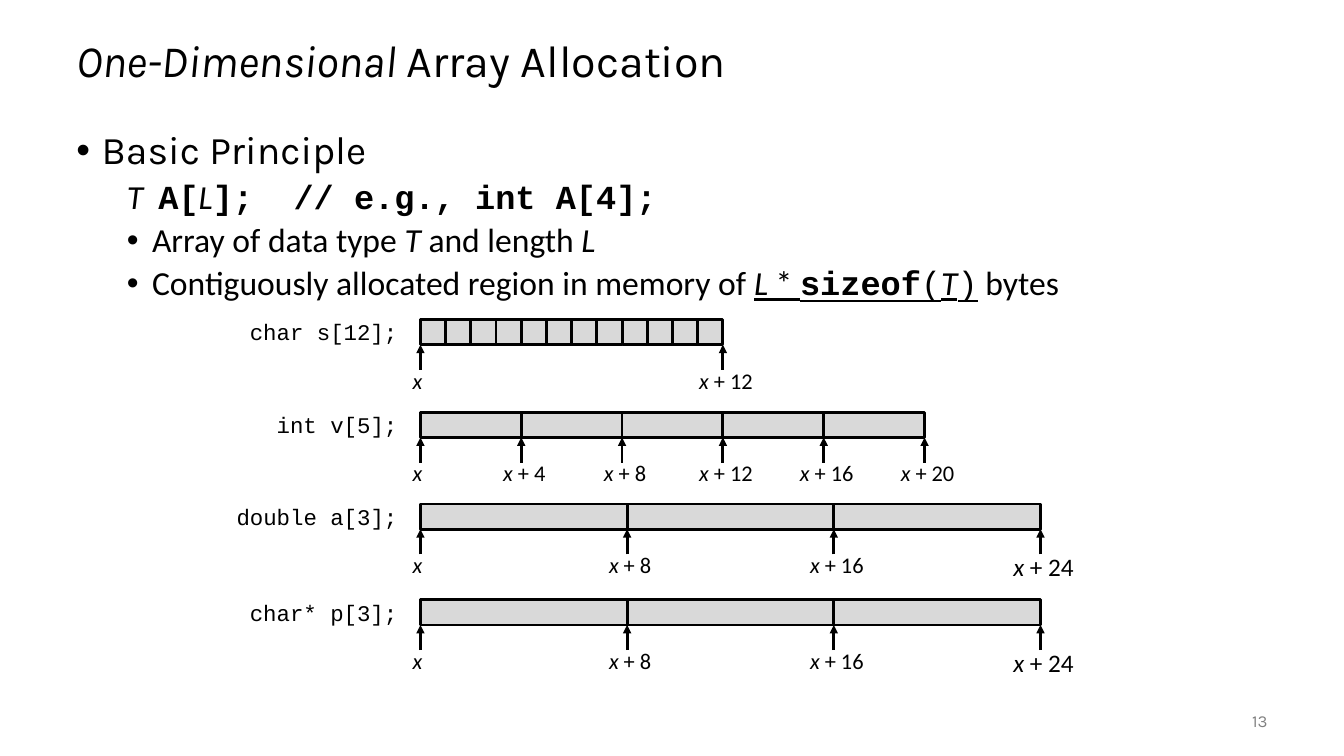
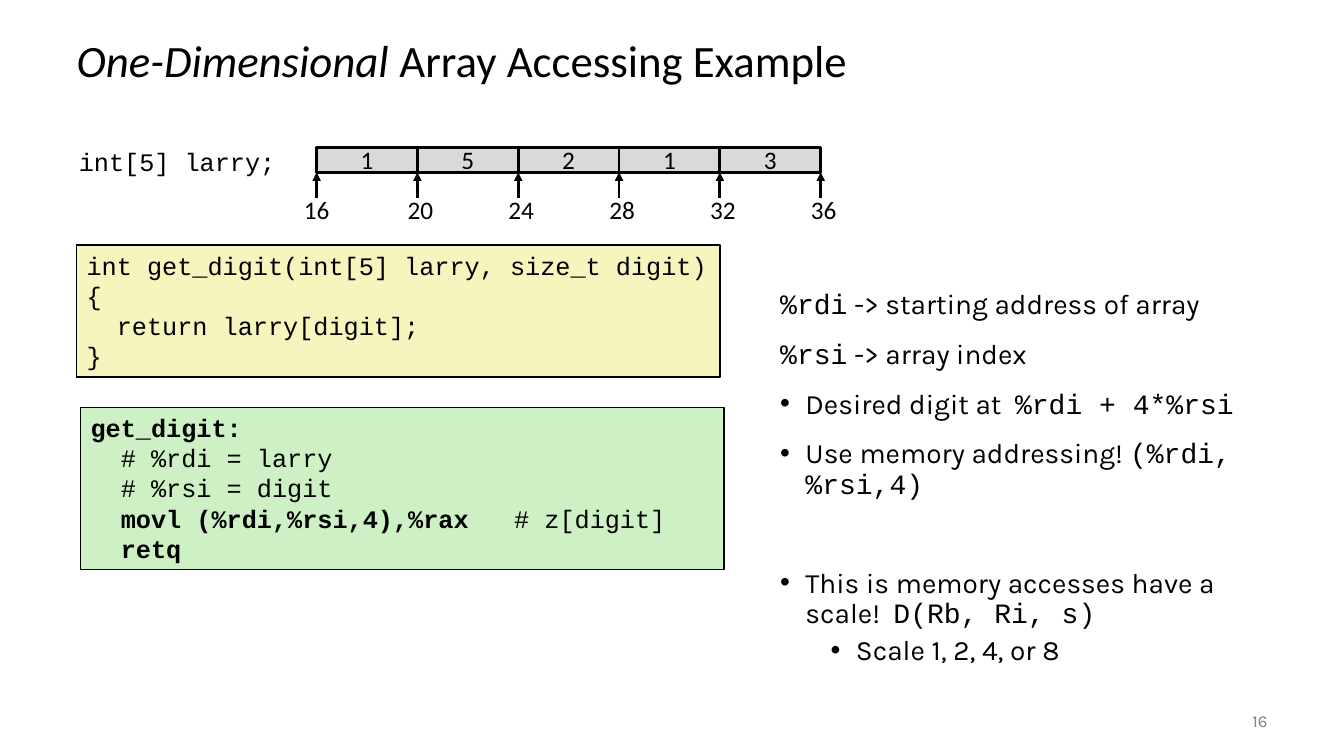
"""Build two slides on one-dimensional array allocation and access."""
from dataclasses import dataclass
from typing import Any, NamedTuple, Optional

from lxml.etree import SubElement
from pptx import Presentation
from pptx.dml.color import RGBColor
from pptx.enum.shapes import MSO_CONNECTOR, MSO_SHAPE
from pptx.enum.text import MSO_ANCHOR, MSO_AUTO_SIZE, PP_ALIGN
from pptx.oxml.ns import qn
from pptx.util import Inches, Pt

COLORS = {
    "text": "000000",
    "number": "808080",
    "cell": "D9D9D9",
    "c_code": "F6F5BD",
    "assembly": "CDF1C5",
    "background": "FFFFFF",
}
SANS, MONO, KARLA = "Calibri", "Courier New", "Karla"
CELL_H = 0.25


class Span(NamedTuple):
    text: str
    fmt: dict[str, Any] = {}


@dataclass
class Para:
    spans: list[Span]
    size: float = 20
    level: int = 0
    bullet: bool = True
    indent: bool = True
    before: float = 14


@dataclass
class Array:
    decl: str
    left: float
    top: float
    cell_w: float
    count: int
    step: int
    base: Optional[int] = None
    values: tuple[int, ...] = ()
    tick_every: int = 1
    size: float = 16
    last_size: float = 16
    decl_gap: float = 0.13


def rgb(name: str) -> RGBColor:
    return RGBColor.from_string(COLORS[name])


def add_run(p, text: str, *, font: str = SANS, size: float = 16, bold: bool = False,
            italic: bool = False, underline: bool = False, color: str = "text") -> None:
    r = p.add_run()
    r.text = text
    f = r.font
    f.name, f.size, f.bold, f.italic = font, Pt(size), bold, italic
    f.underline = underline
    f.color.rgb = rgb(color)


def add_box(shapes, left: float, top: float, width: float, height: float):
    tf = shapes.add_textbox(Inches(left), Inches(top), Inches(width), Inches(height)).text_frame
    tf.word_wrap = True
    return tf


def add_label(shapes, left: float, top: float, width: float, spans: list[Span],
              align=PP_ALIGN.CENTER, **fmt):
    tf = add_box(shapes, left, top, width, 0.4)
    p = tf.paragraphs[0]
    p.alignment = align
    for text, extra in spans:
        add_run(p, text, **fmt, **extra)
    return tf


def add_rect(shapes, left: float, top: float, width: float, height: float,
             fill: str, line_width: float):
    sp = shapes.add_shape(MSO_SHAPE.RECTANGLE, Inches(left), Inches(top),
                          Inches(width), Inches(height))
    sp.shadow.inherit = False
    sp.fill.solid()
    sp.fill.fore_color.rgb = rgb(fill)
    sp.line.color.rgb = rgb("text")
    sp.line.width = Pt(line_width)
    return sp


def add_arrow(shapes, x: float, bottom: float, top: float) -> None:
    c = shapes.add_connector(MSO_CONNECTOR.STRAIGHT, Inches(x), Inches(bottom),
                             Inches(x), Inches(top))
    c.line.color.rgb = rgb("text")
    c.line.width = Pt(2)
    sp_pr = c.element.spPr
    SubElement(sp_pr.find(qn("a:ln")), qn("a:tailEnd"), type="triangle")
    SubElement(sp_pr, qn("a:effectLst"))


def add_array(s, a: Array) -> None:
    add_label(s.shapes, a.left - a.decl_gap - 2.2, a.top - 0.06, 2.2, [Span(a.decl)],
              PP_ALIGN.RIGHT, font=MONO, size=a.size)
    shapes = s.shapes.add_group_shape().shapes
    for i in range(a.count):
        cell = add_rect(shapes, a.left + i * a.cell_w, a.top, a.cell_w, CELL_H, "cell", 2)
        if a.values:
            tf = cell.text_frame
            tf.word_wrap = False
            tf.vertical_anchor = MSO_ANCHOR.MIDDLE
            tf.paragraphs[0].alignment = PP_ALIGN.CENTER
            add_run(tf.paragraphs[0], str(a.values[i]), size=a.size)
    bottom = a.top + CELL_H
    for i in range(0, a.count + 1, a.tick_every):
        x = a.left + i * a.cell_w
        add_arrow(shapes, x, bottom + 0.25, bottom)
        offset = i * a.step
        if a.base is not None:
            spans, shift = [Span(str(a.base + offset))], 0.03 if i else 0
        elif i:
            spans, shift = [Span("x ", dict(italic=True)), Span(f"+ {offset}")], 0.03
        else:
            spans, shift = [Span("x", dict(italic=True))], -0.03
        size = a.last_size if i == a.count else a.size
        add_label(shapes, x + shift - 0.55, a.top + 0.42, 1.1, spans, size=size)


def add_body(s, left: float, top: float, width: float, height: float,
             paras: list[Para]) -> None:
    tf = add_box(s.shapes, left, top, width, height)
    for i, para in enumerate(paras):
        p = tf.add_paragraph() if i else tf.paragraphs[0]
        p.level = para.level
        p_pr = p._p.get_or_add_pPr()
        if para.indent:
            p_pr.set("marL", str(Inches(0.25 + 0.5 * para.level)))
            p_pr.set("indent", str(Inches(-0.25)))
        if para.bullet:
            SubElement(p_pr, qn("a:buFont"), typeface="Arial")
            SubElement(p_pr, qn("a:buChar"), char="•")
        p.line_spacing = 0.9
        if i:
            p.space_before = Pt(para.before)
        for text, fmt in para.spans:
            add_run(p, text, size=para.size, **fmt)


def add_code(s, left: float, top: float, height: float, fill: str,
             lines: list[list[Span]]) -> None:
    tf = add_rect(s.shapes, left, top, 6.38, height, fill, 1).text_frame
    tf.word_wrap = True
    tf.vertical_anchor = MSO_ANCHOR.TOP
    for i, line in enumerate(lines):
        p = tf.add_paragraph() if i else tf.paragraphs[0]
        p.alignment = PP_ALIGN.LEFT
        for text, fmt in line:
            add_run(p, text, font=MONO, size=18, **fmt)


def add_slide(prs, topic: str, font: str, number: int):
    s = prs.slides.add_slide(prs.slide_layouts[5])
    s.background.fill.solid()
    s.background.fill.fore_color.rgb = rgb("background")
    title = s.shapes.title
    title.left, title.top = Inches(0.66), Inches(0.25)
    title.width, title.height = Inches(12), Inches(0.75)
    tf = title.text_frame
    tf.auto_size = MSO_AUTO_SIZE.NONE
    tf.vertical_anchor = MSO_ANCHOR.MIDDLE
    p = tf.paragraphs[0]
    p.alignment = PP_ALIGN.LEFT
    p.line_spacing = 0.9
    add_run(p, "One-Dimensional ", font=font, size=32, italic=True)
    add_run(p, topic, font=font, size=32)
    tf = add_label(s.shapes, 11.67, 6.95, 1, [Span(str(number))], PP_ALIGN.RIGHT,
                   font=KARLA, size=12, color="number")
    tf.vertical_anchor = MSO_ANCHOR.MIDDLE
    return s


def build_allocation(prs) -> None:
    s = add_slide(prs, "Array Allocation", KARLA, 13)
    italic = dict(italic=True)
    code = dict(font=MONO, bold=True)
    under = dict(underline=True)
    sub = dict(size=24, level=1, before=5)
    add_body(s, 0.66, 1.25, 12, 5.5, [
        Para([Span("Basic Principle", dict(font=KARLA))], size=28),
        Para([Span("T  ", italic), Span("A[", code), Span("L", italic),
              Span("];  // e.g., int A[4];", code)], bullet=False, **sub),
        Para([Span("Array of data type "), Span("T", italic), Span(" and length "),
              Span("L", italic)], **sub),
        Para([Span("Contiguously allocated region in memory of "),
              Span("L", italic | under), Span(" * ", under), Span("sizeof", code | under),
              Span("(", under | dict(font=MONO)), Span("T", italic | under),
              Span(")", under | dict(font=MONO)), Span(" bytes")], **sub),
    ])
    for array in (
        Array("char s[12];", 4.17, 3.17, 0.25, 12, 1, tick_every=12),
        Array("int v[5];", 4.17, 4.09, 1, 5, 4),
        Array("double a[3];", 4.17, 5, 2.05, 3, 8, last_size=18),
        Array("char* p[3];", 4.17, 5.95, 2.05, 3, 8, last_size=18),
    ):
        add_array(s, array)


def build_access(prs) -> None:
    s = add_slide(prs, "Array Accessing Example", SANS, 16)
    mono, karla, bold = dict(font=MONO), dict(font=KARLA), dict(bold=True)
    plain = dict(bullet=False, indent=False)
    add_body(s, 7.64, 2.83, 5.18, 3.92, [
        Para([Span("%rdi", mono), Span(" -> starting address of array", karla)], **plain),
        Para([Span("%rsi", mono), Span(" -> array index", karla)], **plain),
        Para([Span("Desired digit at  ", karla), Span("%rdi + 4*%rsi", mono)]),
        Para([Span("Use memory addressing! ", karla), Span("(%rdi,%rsi,4)", mono)]),
        Para([Span("This is memory accesses have a scale!  ", karla),
              Span("D(Rb, Ri, s)", mono)], before=49),
        Para([Span("Scale 1, 2, 4, or 8", karla)], level=1, before=5),
    ])
    add_code(s, 0.76, 2.43, 1.31, "c_code", [
        [Span("int get_digit(int[5] larry, size_t digit)")],
        [Span("{")],
        [Span("  return larry[digit];")],
        [Span("}")],
    ])
    add_code(s, 0.8, 4.04, 1.61, "assembly", [
        [Span("get_digit:", bold)],
        [Span("  # %rdi = larry")],
        [Span("  # %rsi = digit")],
        [Span("  movl (%rdi,%rsi,4),%rax", bold), Span("   # z[digit]")],
        [Span("  retq", bold)],
    ])
    add_array(s, Array("int[5] larry;", 3.14, 1.46, 1, 5, 4, base=16,
                       values=(1, 5, 2, 1, 3), size=18, last_size=18, decl_gap=0.31))


def main() -> None:
    prs = Presentation()
    prs.slide_width, prs.slide_height = Inches(13.33), Inches(7.5)
    build_allocation(prs)
    build_access(prs)
    prs.save("out.pptx")


if __name__ == "__main__":
    main()
